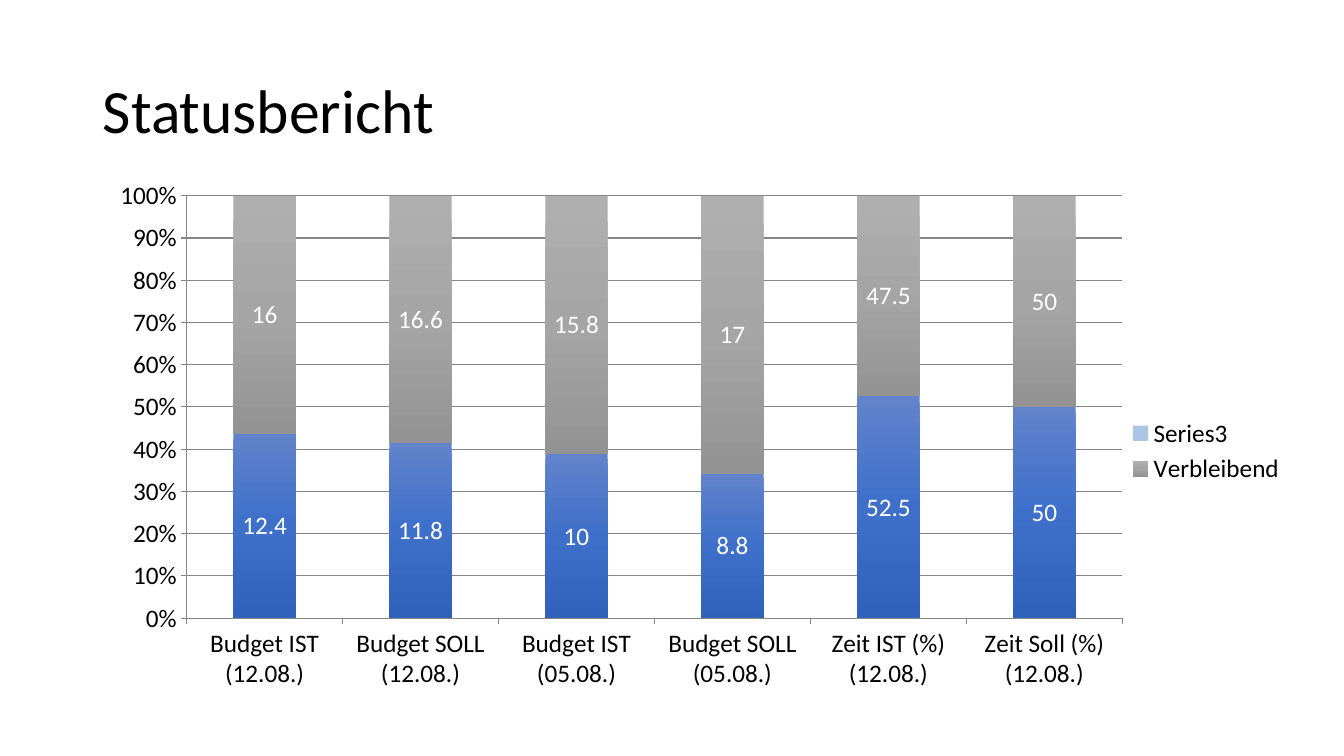
from copy import deepcopy
from dataclasses import dataclass

from lxml import etree
from pptx import Presentation
from pptx.chart.chart import Chart
from pptx.chart.data import CategoryChartData
from pptx.dml.color import RGBColor
from pptx.enum.chart import XL_CHART_TYPE, XL_LABEL_POSITION, XL_LEGEND_POSITION, XL_TICK_MARK
from pptx.enum.text import MSO_ANCHOR, PP_ALIGN
from pptx.oxml import parse_xml
from pptx.oxml.ns import nsdecls, qn
from pptx.util import Inches, Pt

STACKED_100 = XL_CHART_TYPE.COLUMN_STACKED_100
CENTER = XL_LABEL_POSITION.CENTER
LEGEND_RIGHT = XL_LEGEND_POSITION.RIGHT
TICK_OUT, TICK_NONE = XL_TICK_MARK.OUTSIDE, XL_TICK_MARK.NONE
LEFT, MIDDLE = PP_ALIGN.LEFT, MSO_ANCHOR.MIDDLE
TITLE_ONLY = 5
FONT = "Calibri"
BLACK, WHITE, GREY = "000000", "FFFFFF", "868686"


@dataclass
class Series:
    name: str
    values: list[float | None]
    colors: list[str]


CATEGORIES = ["Budget IST (12.08.)", "Budget SOLL (12.08.)", "Budget IST (05.08.)",
              "Budget SOLL (05.08.)", "Zeit IST (%) (12.08.)", "Zeit Soll (%) (12.08.)"]
SERIES = [
    Series("Series 1", [12.4, 11.8, 10, 8.8, 52.5, 50], ["6183CB", "3E70CA", "3062BB"]),
    Series("Verbleibend", [16, 16.6, 15.8, 17, 47.5, 50], ["AFAFAF", "A5A5A5", "939393"]),
    Series("Series3", [None] * len(CATEGORIES), ["ABC5E7"]),
]


def rgb(color: str) -> RGBColor:
    return RGBColor.from_string(color)


def format_font(font, *, size: float, color: str = BLACK) -> None:
    font.name = FONT
    font.size = Pt(size)
    font.color.rgb = rgb(color)


def add_text(tf, text: str, *, size: float, color: str = BLACK, align=LEFT, spacing: float = 0.9) -> None:
    tf.word_wrap = True
    tf.vertical_anchor = MIDDLE
    p = tf.paragraphs[0]
    p.alignment = align
    p.line_spacing = spacing
    r = p.add_run()
    r.text = text
    format_font(r.font, size=size, color=color)


def fill_series(plot_series, colors: list[str]) -> None:
    """Fill with one colour, or with evenly spaced colours from top to bottom."""
    fill = plot_series.format.fill
    if len(colors) == 1:
        fill.solid()
        fill.fore_color.rgb = rgb(colors[0])
        return
    fill.gradient()
    fill.gradient_angle = 270
    stops = next(plot_series.format._element.iter(qn("a:gsLst")))
    while len(stops) < len(colors):
        stops.append(deepcopy(stops[-1]))
    for i, (stop, color) in enumerate(zip(fill.gradient_stops, colors)):
        stop.color.rgb = rgb(color)
        stop.position = i / (len(colors) - 1)


def set_plot_layout(chart: Chart, x: float, y: float, w: float, h: float) -> None:
    """Place the inner plot area by fractions of the chart size."""
    area = chart._chartSpace.chart.plotArea
    for old in area.findall(qn("c:layout")):
        area.remove(old)
    layout = parse_xml(f'<c:layout {nsdecls("c")}><c:manualLayout/></c:layout>')
    settings = {"layoutTarget": "inner", "xMode": "edge", "yMode": "edge",
                "x": x, "y": y, "w": w, "h": h}
    for tag, value in settings.items():
        etree.SubElement(layout[0], qn(f"c:{tag}")).set("val", str(value))
    area.insert(0, layout)


def hide_legend_entry(chart: Chart, index: int) -> None:
    entry = parse_xml(f'<c:legendEntry {nsdecls("c")}><c:idx val="{index}"/>'
                      '<c:delete val="1"/></c:legendEntry>')
    chart.legend._element.find(qn("c:legendPos")).addnext(entry)


def format_axes(chart: Chart) -> None:
    for axis in (chart.category_axis, chart.value_axis):
        axis.major_tick_mark = TICK_OUT
        axis.minor_tick_mark = TICK_NONE
        axis.format.line.color.rgb = rgb(GREY)
        axis.format.line.width = Pt(0.75)
        format_font(axis.tick_labels.font, size=18)
    axis = chart.value_axis
    axis.minimum_scale, axis.maximum_scale, axis.major_unit = 0, 1, 0.1
    axis.tick_labels.number_format = "0%"
    axis.tick_labels.number_format_is_linked = False
    axis.has_major_gridlines = True
    axis.major_gridlines.format.line.color.rgb = rgb(GREY)
    axis.major_gridlines.format.line.width = Pt(0.75)


def add_status_chart(slide) -> None:
    data = CategoryChartData()
    data.categories = CATEGORIES
    for series in SERIES:
        data.add_series(series.name, series.values)
    chart = slide.shapes.add_chart(STACKED_100, Inches(0.75), Inches(1.74),
                                   Inches(12.1), Inches(5.47), data).chart
    format_font(chart.font, size=18)
    chart.has_title = False
    plot = chart.plots[0]
    plot.gap_width, plot.overlap = 150, 100
    for plot_series, series in zip(plot.series, SERIES):
        fill_series(plot_series, series.colors)
        if any(series.values):
            labels = plot_series.data_labels
            labels.show_value = True
            labels.position = CENTER
            format_font(labels.font, size=18, color=WHITE)
    format_axes(chart)
    chart.has_legend = True
    chart.legend.position = LEGEND_RIGHT
    chart.legend.include_in_layout = False
    format_font(chart.legend.font, size=18)
    hide_legend_entry(chart, 0)
    set_plot_layout(chart, 0.091, 0.037, 0.767, 0.766)


def main() -> None:
    prs = Presentation()
    prs.slide_width, prs.slide_height = Inches(13.33), Inches(7.5)
    slide = prs.slides.add_slide(prs.slide_layouts[TITLE_ONLY])
    title = slide.shapes.title
    title.left, title.top = Inches(0.92), Inches(0.4)
    title.width, title.height = Inches(11.5), Inches(1.45)
    add_text(title.text_frame, "Statusbericht", size=44)
    add_status_chart(slide)
    prs.save("out.pptx")


if __name__ == "__main__":
    main()
